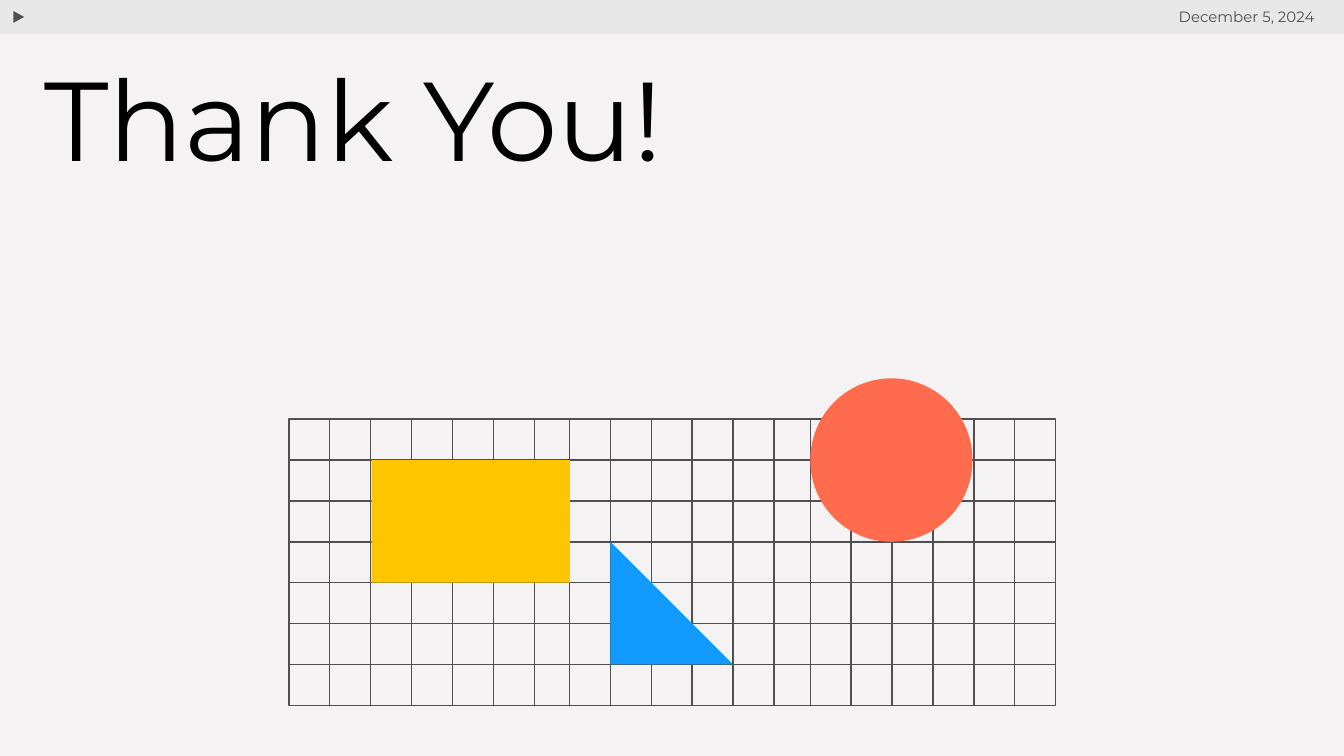
from dataclasses import dataclass

from lxml.etree import SubElement
from pptx import Presentation
from pptx.dml.color import RGBColor
from pptx.enum.shapes import MSO_CONNECTOR, MSO_SHAPE
from pptx.enum.text import MSO_ANCHOR, MSO_AUTO_SIZE, PP_ALIGN
from pptx.oxml.ns import qn
from pptx.shapes.autoshape import Shape
from pptx.slide import Slide
from pptx.util import Pt

FONT = "Montserrat"
BLACK = "000000"
DARK_GRAY = "4F4F4F"
LIGHT_GRAY = "E7E7E7"
LINE_WIDTH = 0.75

CELL = 21.9
ROWS = 7
GRID_LEFT, GRID_TOP = 154.8, 224.6
MIDDLE_LEFT, RIGHT_LEFT = 305.1, 434.1
GRID_RIGHT = RIGHT_LEFT + 6 * CELL
GRID_BOTTOM = GRID_TOP + ROWS * CELL


@dataclass
class Figure:
    preset: MSO_SHAPE
    left: float
    top: float
    width: float
    height: float
    fill: str | None = None
    line: str | None = None
    rotation: float = 0


@dataclass
class ColumnBlock:
    left: float
    first: int
    last: int


FIGURES = [
    Figure(MSO_SHAPE.RECTANGLE, GRID_LEFT + 2 * CELL + 0.5, GRID_TOP + CELL,
           106.3, 3 * CELL, "FFC600"),
    Figure(MSO_SHAPE.OVAL, RIGHT_LEFT, GRID_TOP - CELL, 86.9, 4 * CELL, "FF6B4D"),
    Figure(MSO_SHAPE.RIGHT_TRIANGLE, MIDDLE_LEFT + CELL, GRID_TOP + 3 * CELL,
           3 * CELL, 3 * CELL, "119BFE"),
]

COLUMN_BLOCKS = [
    ColumnBlock(GRID_LEFT, 1, 6),
    ColumnBlock(MIDDLE_LEFT, 0, 5),
    ColumnBlock(RIGHT_LEFT, 0, 5),
]


def color(value: str) -> RGBColor:
    return RGBColor.from_string(value)


def add_figure(slide: Slide, figure: Figure) -> None:
    shape = slide.shapes.add_shape(
        figure.preset, Pt(figure.left), Pt(figure.top), Pt(figure.width), Pt(figure.height)
    )
    shape.shadow.inherit = False
    shape.rotation = figure.rotation
    if figure.fill:
        shape.fill.solid()
        shape.fill.fore_color.rgb = color(figure.fill)
    else:
        shape.fill.background()
    if figure.line:
        shape.line.color.rgb = color(figure.line)
        shape.line.width = Pt(LINE_WIDTH)
    else:
        shape.line.fill.background()


def add_grid_line(slide: Slide, left: float, top: float, right: float, bottom: float) -> None:
    connector = slide.shapes.add_connector(
        MSO_CONNECTOR.STRAIGHT, Pt(left), Pt(top), Pt(right), Pt(bottom)
    )
    connector.line.color.rgb = color(DARK_GRAY)
    connector.line.width = Pt(LINE_WIDTH)
    SubElement(connector._element.spPr, qn("a:effectLst"))


def add_grid(slide: Slide) -> None:
    add_figure(slide, Figure(MSO_SHAPE.RECTANGLE, GRID_LEFT, GRID_TOP,
                             GRID_RIGHT - GRID_LEFT, GRID_BOTTOM - GRID_TOP, line=DARK_GRAY))
    for block in COLUMN_BLOCKS:
        for column in range(block.first, block.last + 1):
            left = block.left + column * CELL
            add_grid_line(slide, left, GRID_TOP, left, GRID_BOTTOM)
    for row in range(1, ROWS):
        top = GRID_TOP + row * CELL
        add_grid_line(slide, GRID_LEFT, top, GRID_RIGHT, top)


def set_text(shape: Shape, text: str, size: float, text_color: str,
             alignment: PP_ALIGN, line_spacing: float) -> None:
    frame = shape.text_frame
    frame.text = text
    frame.word_wrap = True
    frame.auto_size = MSO_AUTO_SIZE.NONE
    frame.vertical_anchor = MSO_ANCHOR.TOP
    frame.margin_left = frame.margin_right = Pt(7.2)
    frame.margin_top = frame.margin_bottom = Pt(7.2)
    paragraph = frame.paragraphs[0]
    paragraph.alignment = alignment
    paragraph.line_spacing = line_spacing
    paragraph.font.name = FONT
    paragraph.font.size = Pt(size)
    paragraph.font.color.rgb = color(text_color)


def add_header(slide: Slide) -> None:
    add_figure(slide, Figure(MSO_SHAPE.RECTANGLE, -0.5, 0, 720.5, 18, LIGHT_GRAY))
    add_figure(slide, Figure(MSO_SHAPE.ISOSCELES_TRIANGLE, 6.5, 5.6, 7.7, 7,
                             DARK_GRAY, LIGHT_GRAY, 90))
    date = slide.shapes.add_textbox(Pt(621.4), Pt(-3.1), Pt(90), Pt(24.5))
    set_text(date, "December 5, 2024", 8, DARK_GRAY, PP_ALIGN.RIGHT, 1.0)


def add_title(slide: Slide) -> None:
    title = slide.shapes.title
    title.left, title.top = Pt(16.6), Pt(27.4)
    title.width, title.height = Pt(420.5), Pt(157.7)
    set_text(title, "Thank You!", 60, BLACK, PP_ALIGN.LEFT, 0.9)


def main() -> None:
    presentation = Presentation()
    presentation.slide_width, presentation.slide_height = Pt(720), Pt(405)
    slide = presentation.slides.add_slide(presentation.slide_layouts.get_by_name("Title Only"))
    slide.background.fill.solid()
    slide.background.fill.fore_color.rgb = color("F4F2F2")
    add_header(slide)
    add_title(slide)
    add_grid(slide)
    for figure in FIGURES:
        add_figure(slide, figure)
    presentation.save("out.pptx")


if __name__ == "__main__":
    main()
